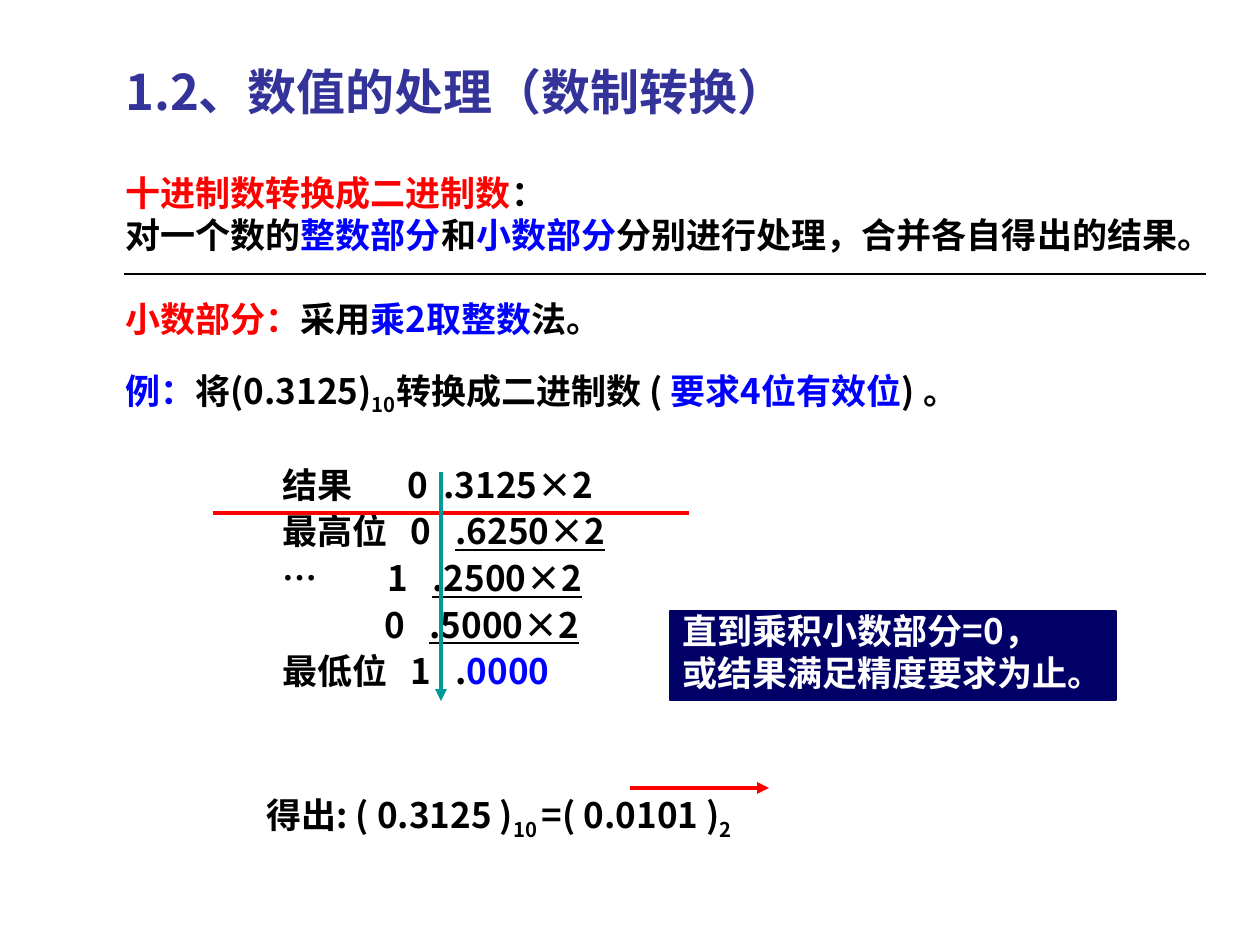
import pptx
import pptx.dml.color
import pptx.enum.shapes
import pptx.enum.text
import pptx.oxml.ns
import pptx.util
import lxml.etree

PX = 914400 // 126
THEME = {
    "font": "Noto Sans CJK SC",
    "title_size": 28,
    "body_size": 20,
    "title": "333399",
    "text": "000000",
    "red": "FF0000",
    "blue": "0000FF",
    "teal": "009999",
    "navy": "000066",
    "white": "FFFFFF",
}


def write(shape, paragraphs, size="body_size", line_spacing=1.0):
    frame = shape.text_frame
    frame.word_wrap = True
    frame.vertical_anchor = pptx.enum.text.MSO_ANCHOR.TOP
    for index, (space_before, tabs, runs) in enumerate(paragraphs):
        paragraph = frame.add_paragraph() if index else frame.paragraphs[0]
        paragraph.alignment = pptx.enum.text.PP_ALIGN.LEFT
        paragraph.line_spacing = line_spacing
        paragraph.space_before = pptx.util.Pt(space_before)
        if tabs:
            properties = paragraph._p.get_or_add_pPr()
            stops = lxml.etree.SubElement(properties, pptx.oxml.ns.qn("a:tabLst"))
            for stop in tabs:
                lxml.etree.SubElement(stops, pptx.oxml.ns.qn("a:tab"), pos=str(stop * PX), algn="l")
        for text, color, style in runs:
            run = paragraph.add_run()
            run.text = text
            run.font.size = pptx.util.Pt(THEME[size])
            run.font.bold = True
            run.font.name = THEME["font"]
            run.font.color.rgb = pptx.dml.color.RGBColor.from_string(THEME[color])
            run_properties = run.font._element
            lxml.etree.SubElement(run_properties, pptx.oxml.ns.qn("a:ea"), typeface=THEME["font"])
            if style == "underline":
                run.font.underline = True
            if style == "subscript":
                run_properties.set("baseline", "-25000")


def draw_line(x1, y1, x2, y2, color, width, arrow):
    line = slide.shapes.add_connector(
        pptx.enum.shapes.MSO_CONNECTOR.STRAIGHT, x1 * PX, y1 * PX, x2 * PX, y2 * PX)
    line.line.color.rgb = pptx.dml.color.RGBColor.from_string(THEME[color])
    line.line.width = pptx.util.Pt(width)
    if arrow:
        lxml.etree.SubElement(line.line._get_or_add_ln(), pptx.oxml.ns.qn("a:tailEnd"), type="triangle")
    lxml.etree.SubElement(line._element.spPr, pptx.oxml.ns.qn("a:effectLst"))


presentation = pptx.Presentation()
presentation.slide_width = 1260 * PX
presentation.slide_height = 945 * PX
slide = presentation.slides.add_slide(presentation.slide_layouts[6])

title = slide.shapes.add_textbox(113 * PX, 55 * PX, 784 * PX, 72 * PX)
write(title, [(0, [], [("1.2、数值的处理（数制转换）", "title", "")])], size="title_size")

stopping_rule = slide.shapes.add_shape(
    pptx.enum.shapes.MSO_SHAPE.RECTANGLE, 670 * PX, 611 * PX, 446 * PX, 89 * PX)
stopping_rule.shadow.inherit = False
stopping_rule.fill.solid()
stopping_rule.fill.fore_color.rgb = pptx.dml.color.RGBColor.from_string(THEME["navy"])
stopping_rule.line.color.rgb = pptx.dml.color.RGBColor.from_string(THEME["navy"])
stopping_rule.line.width = pptx.util.Pt(0.75)
write(stopping_rule, [
    (0, [], [("直到乘积小数部分=0，", "white", "")]),
    (5, [], [("或结果满足精度要求为止。", "white", "")]),
], line_spacing=0.8)

method = slide.shapes.add_textbox(113 * PX, 165 * PX, 1147 * PX, 181 * PX)
write(method, [
    (0, [], [("十进制数转换成二进制数", "red", ""), ("：", "text", "")]),
    (0, [], [
        ("对一个数的", "text", ""),
        ("整数部分", "blue", ""),
        ("和", "text", ""),
        ("小数部分", "blue", ""),
        ("分别进行处理，合并各自得出的结果。", "text", ""),
    ]),
    (24, [], [
        ("小数部分：", "red", ""),
        ("采用", "text", ""),
        ("乘2取整数", "blue", ""),
        ("法。", "text", ""),
    ]),
])

example = slide.shapes.add_textbox(113 * PX, 363 * PX, 1022 * PX, 60 * PX)
write(example, [(0, [], [
    ("例：", "blue", ""),
    ("将(0.3125)", "text", ""),
    ("10", "text", "subscript"),
    ("转换成二进制数 ( ", "text", ""),
    ("要求4位有效位", "blue", ""),
    (") 。", "text", ""),
])])

steps = [
    ("结果", "0", 251, 287, [(".3125×2", "text", "")]),
    ("最高位", "0", 254, 299, [(".6250×2", "text", "underline")]),
    ("…", "1", 231, 276, [(".2500×2", "text", "underline")]),
    ("", "0", 228, 273, [(".5000×2", "text", "underline")]),
    ("最低位", "1", 254, 299, [(".", "text", ""), ("0000", "blue", "")]),
]
multiplication = slide.shapes.add_textbox(144 * PX, 462 * PX, 912 * PX, 245 * PX)
write(multiplication, [
    (5 if row else 0, [126, digit_x, fraction_x],
     [(f"\t{label}\t{digit}\t", "text", "")] + fraction)
    for row, (label, digit, digit_x, fraction_x, fraction) in enumerate(steps)
], line_spacing=0.9)

answer = slide.shapes.add_textbox(254 * PX, 788 * PX, 802 * PX, 60 * PX)
write(answer, [(0, [], [
    ("得出: ( 0.3125 )", "text", ""),
    ("10 ", "text", "subscript"),
    ("=( 0.0101 )", "text", ""),
    ("2", "text", "subscript"),
])], line_spacing=0.9)

draw_line(213, 513, 689, 513, "red", 2.25, False)
draw_line(441, 472, 441, 701, "teal", 2.25, True)
draw_line(630, 788, 769, 788, "red", 2.25, True)
draw_line(124, 274, 1206, 274, "text", 0.75, False)

presentation.save("out.pptx")
